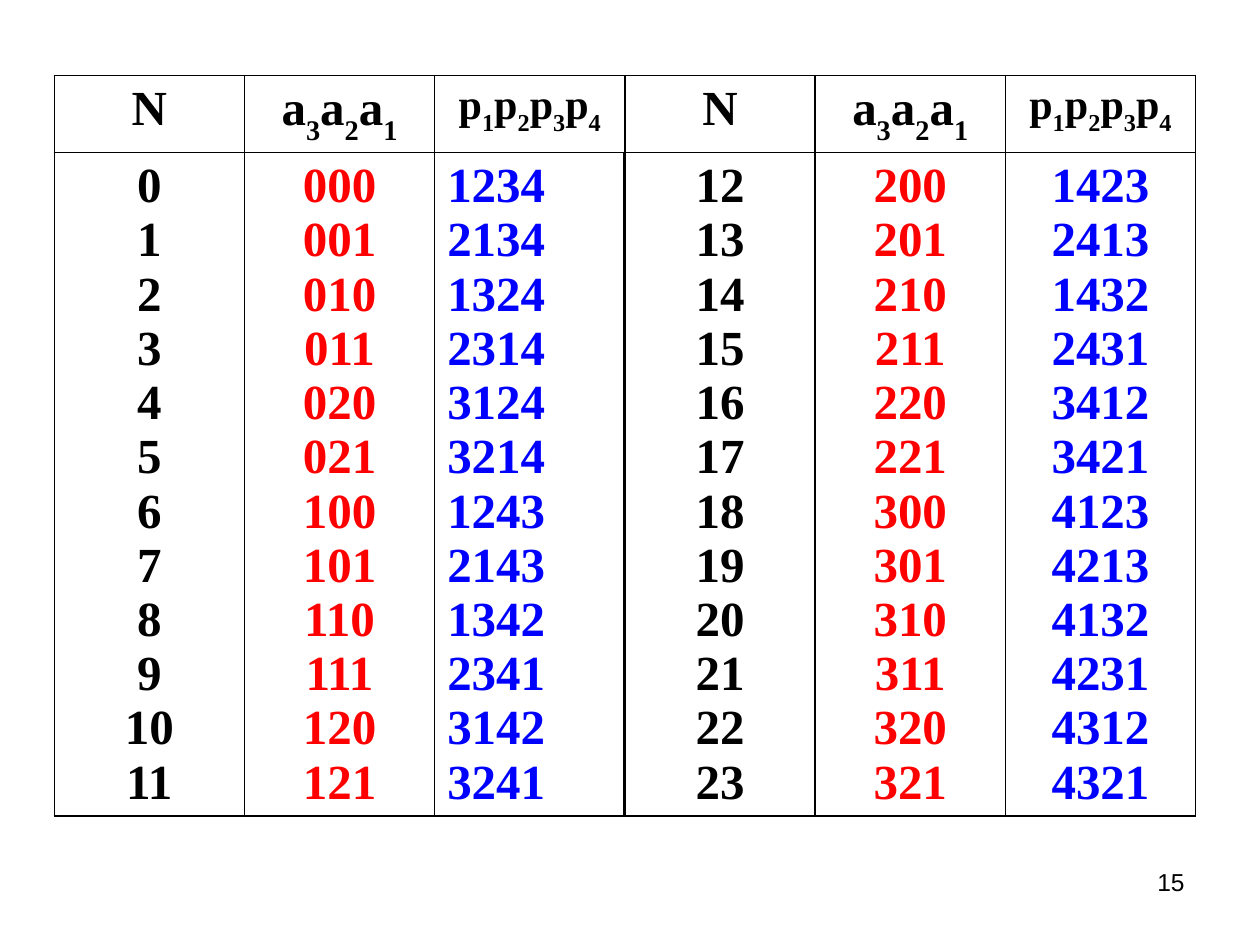
from lxml import etree
from pptx import Presentation
from pptx.dml.color import RGBColor
from pptx.enum.text import PP_ALIGN
from pptx.oxml.ns import qn
from pptx.util import Inches, Pt

LEFT, CENTER, RIGHT = PP_ALIGN.LEFT, PP_ALIGN.CENTER, PP_ALIGN.RIGHT
BLACK = RGBColor(0x00, 0x00, 0x00)
RED = RGBColor(0xFF, 0x00, 0x00)
BLUE = RGBColor(0x00, 0x00, 0xFF)
SERIF, SANS = "Times New Roman", "Arial"
HANGING = Inches(0.38)
HEADINGS = [("N", 28), ("a3a2a1", 28), ("p1p2p3p4", 24)]
COLUMN_COLORS = [BLACK, RED, BLUE]
HALF = 12


def numbering(n):
    """Return n, its factorial digits and the permutation they encode."""
    digits = [n // 6, n // 2 % 3, n % 2]
    permutation = ["1"]
    for mark, shift in enumerate(reversed(digits), start=2):
        permutation.insert(len(permutation) - shift, str(mark))
    return str(n), "".join(map(str, digits)), "".join(permutation)


def add_run(paragraph, text, subscript=False, **formats):
    """Add a formatted run, lowered when it is a subscript."""
    run = paragraph.add_run()
    run.text = text
    color = formats.pop("color")
    for name, value in formats.items():
        setattr(run.font, name, value)
    run.font.color.rgb = color
    if subscript:
        run.font._element.set("baseline", "-30000") if hasattr(run.font, "_element") \
            else run._r.get_or_add_rPr().set("baseline", "-30000")


def align_hanging(paragraph, alignment):
    """Align a paragraph and give it the hanging indent of the table."""
    paragraph.alignment = alignment
    properties = paragraph._p.get_or_add_pPr()
    properties.set("marL", str(HANGING))
    properties.set("indent", str(-HANGING))


def set_borders(cell, widths):
    """Draw the cell borders from a dict of side and width in points."""
    properties = cell._tc.get_or_add_tcPr()
    for side, width in widths.items():
        line = etree.SubElement(properties, qn(f"a:ln{side}"), w=str(Pt(width)))
        fill = etree.SubElement(line, qn("a:solidFill"))
        etree.SubElement(fill, qn("a:srgbClr"), val=str(BLACK))
    cell.fill.background()


def fill_heading(cell, heading, size):
    """Write a heading whose indices are subscripts."""
    paragraph = cell.text_frame.paragraphs[0]
    align_hanging(paragraph, CENTER)
    for character in heading:
        add_run(paragraph, character, character.isdigit(),
                name=SERIF, size=Pt(size), bold=True, color=BLACK)


def fill_values(cell, values, color, alignment):
    """Write one value in each paragraph of a cell."""
    frame = cell.text_frame
    for index, value in enumerate(values):
        paragraph = frame.add_paragraph() if index else frame.paragraphs[0]
        align_hanging(paragraph, alignment)
        add_run(paragraph, value, name=SERIF, size=Pt(28), bold=True, color=color)


def add_permutation_table(slide, left, top, width, height):
    """Place the two halves of the permutation list side by side."""
    count = 2 * len(HEADINGS)
    table = slide.shapes.add_table(2, count, left, top, width, height).table
    table.first_row = table.horz_banding = False
    table.rows[0].height = Inches(0.61)
    table.rows[1].height = height - Inches(0.61)
    edges = [0.75, 1, 1, 2, 1, 1, 0.75]
    for column in range(count):
        table.columns[column].width = width // count
        half, part = divmod(column, len(HEADINGS))
        heading_cell, values_cell = table.cell(0, column), table.cell(1, column)
        fill_heading(heading_cell, *HEADINGS[part])
        rows = map(numbering, range(half * HALF, (half + 1) * HALF))
        alignment = LEFT if column == 2 else CENTER
        fill_values(values_cell, [row[part] for row in rows],
                    COLUMN_COLORS[part], alignment)
        for cell, limit in ((heading_cell, 1), (values_cell, 2)):
            set_borders(cell, {"L": min(edges[column], limit),
                               "R": min(edges[column + 1], limit),
                               "T": 1, "B": 1})


def add_page_number(slide, number, left, top, width, height):
    """Place the page number at the right of its box."""
    frame = slide.shapes.add_textbox(left, top, width, height).text_frame
    frame.word_wrap = True
    paragraph = frame.paragraphs[0]
    paragraph.alignment = RIGHT
    add_run(paragraph, number, name=SANS, size=Pt(14), color=BLACK)


def main():
    """Build and save the slide."""
    deck = Presentation()
    deck.slide_width, deck.slide_height = Inches(10), Inches(7.5)
    slide = deck.slides.add_slide(deck.slide_layouts[6])
    add_permutation_table(slide, Inches(0.43), Inches(0.6), Inches(9.06), Inches(5.87))
    add_page_number(slide, "15", Inches(7.17), Inches(6.83), Inches(2.33), Inches(0.52))
    deck.save("out.pptx")


main()
